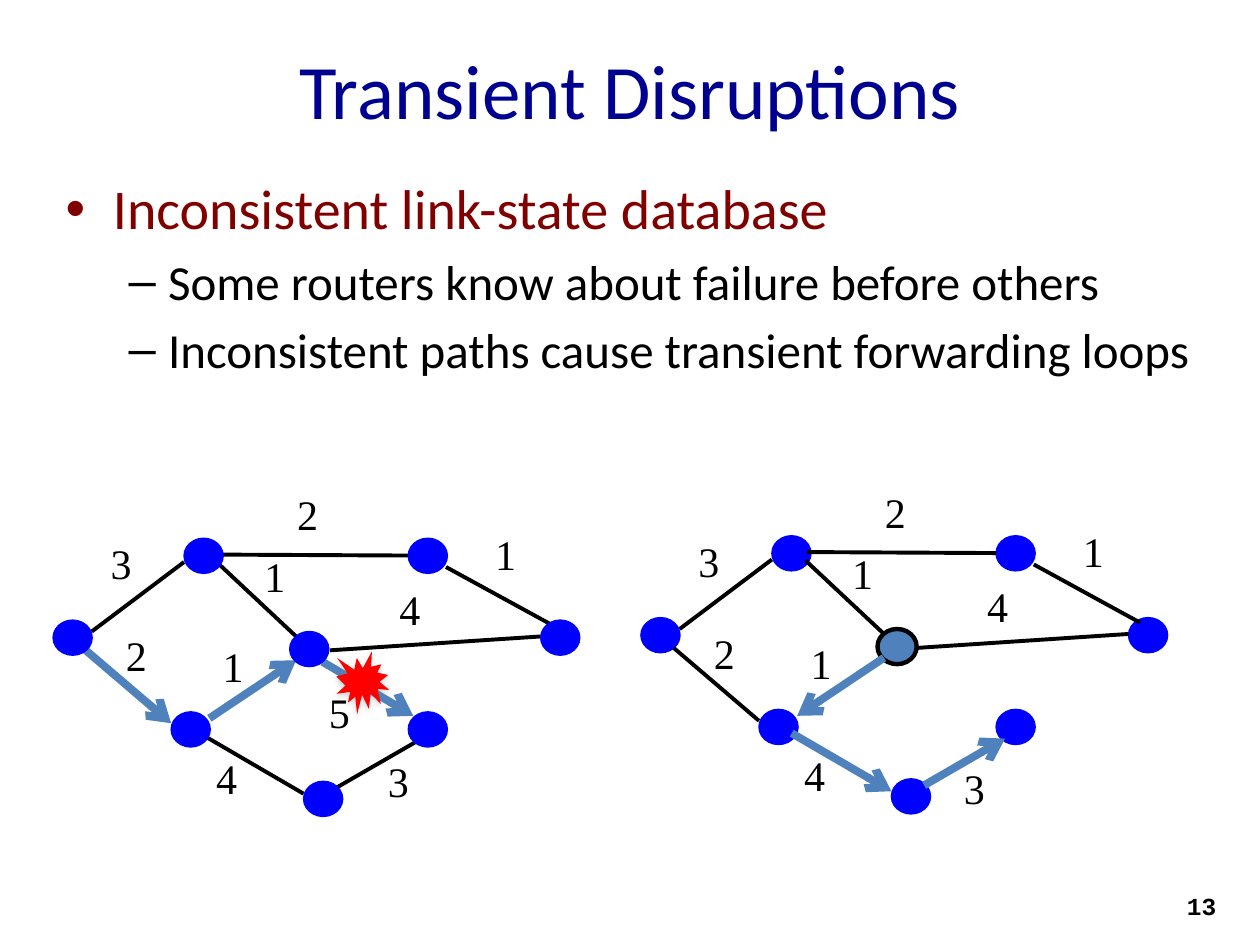
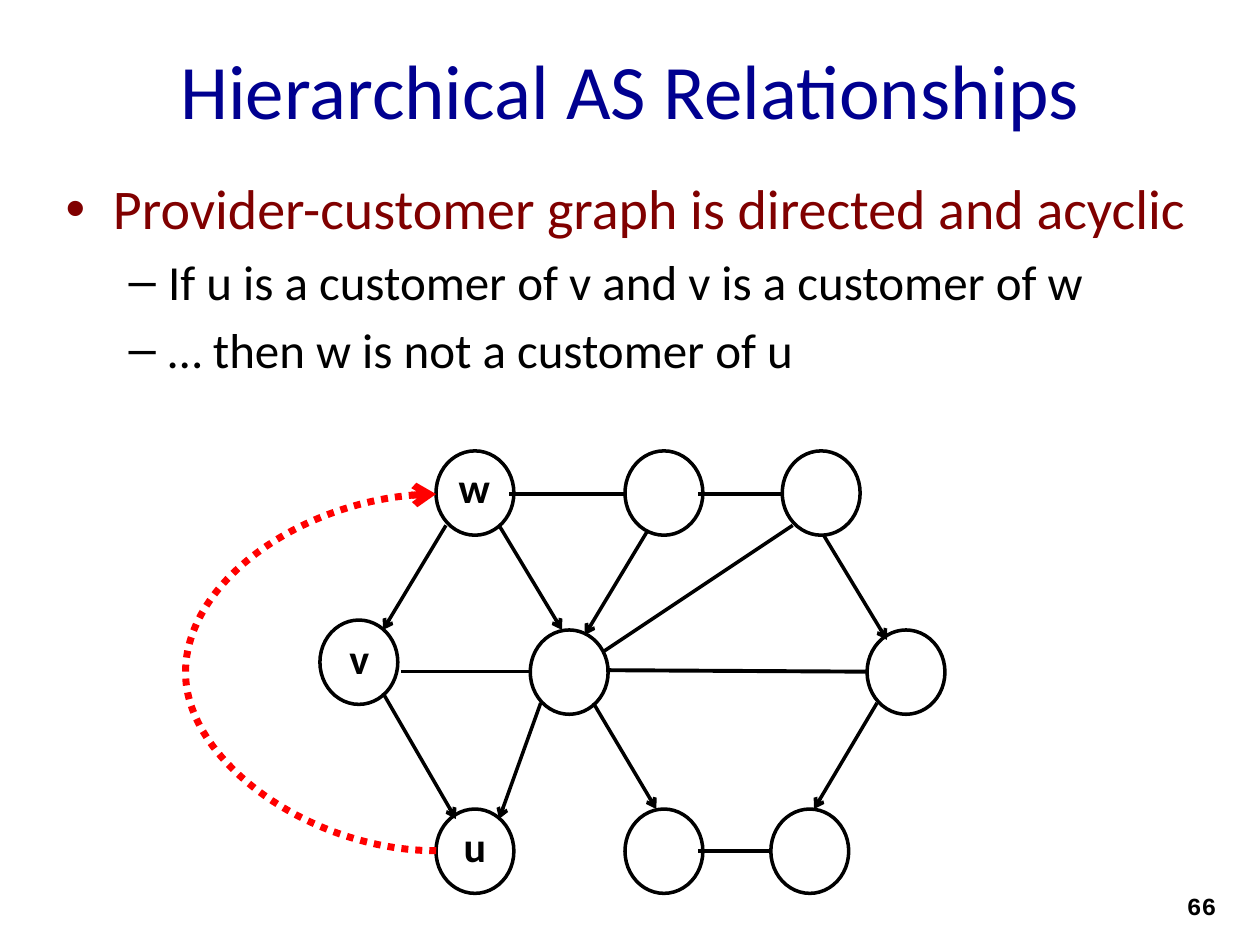
from dataclasses import dataclass

from pptx import Presentation
from pptx.dml.color import RGBColor as RGB
from pptx.enum.dml import MSO_LINE
from pptx.enum.shapes import MSO_CONNECTOR as LINK, MSO_SHAPE as SHAPE
from pptx.enum.text import MSO_ANCHOR, MSO_AUTO_SIZE as FIT, PP_ALIGN as ALIGN
from pptx.oxml import parse_xml
from pptx.oxml.ns import nsdecls, qn
from pptx.oxml.xmlchemy import OxmlElement
from pptx.util import Cm, Emu, Pt


@dataclass(frozen=True)
class Theme:
    """Colours, fonts and type sizes of the deck."""

    navy: str = "000090"
    maroon: str = "800000"
    black: str = "000000"
    router: str = "0000FF"
    route: str = "4F81BD"
    red: str = "FF0000"
    sans: str = "Calibri"
    serif: str = "Times New Roman"
    mono: str = "Courier New"
    title: int = 44
    lead: int = 32
    detail: int = 28
    label: int = 24
    page: int = 14


T = Theme()

ROUTERS = {
    "a": (1.07, 12.5), "b": (3.71, 10.85), "c": (8.23, 10.85), "d": (10.9, 12.5),
    "e": (5.84, 12.73), "f": (3.45, 14.35), "g": (8.23, 14.35), "h": (6.12, 15.75),
}
LINKS = {
    "ab": (1.85, 12.73, 3.71, 11.33),
    "af": (1.73, 13.11, 3.45, 14.58),
    "be": (4.39, 11.35, 5.97, 12.83),
    "fh": (4.11, 14.83, 6.12, 16),
    "fe": (4.22, 14.48, 5.97, 13.31),
    "eg": (6.5, 13.34, 8.33, 14.43),
    "hg": (6.78, 15.88, 8.41, 14.94),
    "ed": (6.65, 13.11, 10.9, 12.83),
    "bc": (4.42, 11.18, 8.23, 11.2),
    "cd": (8.99, 11.43, 11.13, 12.6),
}
COSTS = {
    "ab": ("3", 1.98, 10.72), "bc": ("2", 5.74, 9.73), "af": ("2", 2.29, 12.57),
    "be": ("1", 5.08, 10.97), "fe": ("1", 4.24, 12.78), "ed": ("4", 7.8, 11.63),
    "cd": ("1", 9.73, 10.52), "fh": ("4", 4.11, 15.04), "eg": ("5", 6.38, 13.72),
    "hg": ("3", 7.57, 15.11),
}

TOP, BOTTOM = 9.09, 16.31
AS_NODES = {
    "w": (8.79, TOP), "top mid": (12.6, TOP), "top right": (15.77, TOP),
    "v": (6.45, 12.5), "centre": (10.69, 12.7), "right": (17.48, 12.7),
    "u": (8.79, BOTTOM), "low mid": (12.6, BOTTOM), "low right": (15.54, BOTTOM),
}
AS_NAMES = {"u": (9.09, 16.41, 0.97), "v": (6.76, 12.62, 0.97), "w": (8.99, 9.17, 1.14)}
PEERS = [
    (12.22, 13.51, 17.48, 13.54, 2.25),
    (10.69, 13.54, 8.08, 13.54, 2),
    (14.07, 17.15, 15.54, 17.15, 2.25),
    (12.6, 9.96, 10.26, 9.96, 2),
    (15.77, 9.96, 14.07, 9.96, 2),
    (15.98, 10.59, 12.17, 13.13, 2),
]
PROVIDER_TO_CUSTOMER = [
    (10.06, 10.59, 11.33, 12.7),
    (16.61, 10.8, 17.88, 12.9),
    (13.06, 10.69, 11.79, 12.8),
    (10.9, 14.17, 10.06, 16.51),
    (11.96, 14.17, 13.23, 16.31),
    (17.68, 14.17, 16.41, 16.31),
    (7.72, 13.97, 9.19, 16.51),
    (8.99, 10.59, 7.72, 12.7),
]


def place(s, left, top, width, height):
    """Move and size a shape, in centimetres."""
    s.left, s.top, s.width, s.height = map(Cm, (left, top, width, height))


def style(p, size, color, font, bold=False):
    """Format every run of a paragraph."""
    for r in p.runs:
        r.font.size, r.font.name, r.font.bold = Pt(size), font, bold
        r.font.color.rgb = RGB.from_string(color)


def add_text(slide, text, box, size, font, bold=False, align=ALIGN.LEFT, wrap=False):
    """Add a one-line text box."""
    s = slide.shapes.add_textbox(*map(Cm, box))
    tf = s.text_frame
    tf.text = text
    tf.word_wrap = wrap
    tf.auto_size = FIT.NONE if wrap else FIT.SHAPE_TO_FIT_TEXT
    tf.paragraphs[0].alignment = align
    style(tf.paragraphs[0], size, T.black, font, bold)


def add_node(slide, box, fill=None, line=T.black, width=2, kind=SHAPE.OVAL):
    """Add a preset shape, unfilled or unlined where no colour is given."""
    s = slide.shapes.add_shape(kind, *map(Cm, box))
    s.shadow.inherit = False
    if fill:
        s.fill.solid()
        s.fill.fore_color.rgb = RGB.from_string(fill)
    else:
        s.fill.background()
    if line:
        s.line.color.rgb = RGB.from_string(line)
        s.line.width = Pt(width)
    else:
        s.line.fill.background()
    return s


def add_line(slide, ends, color=T.black, width=2, arrow=False, dash=None, kind=LINK.STRAIGHT):
    """Add a connector, with an open arrowhead at its end if wanted."""
    s = slide.shapes.add_connector(kind, *map(Cm, ends))
    s.line.color.rgb = RGB.from_string(color)
    s.line.width = Pt(width)
    if dash:
        s.line.dash_style = dash
    if arrow:
        tail = OxmlElement("a:tailEnd")
        tail.set("type", "arrow")
        s._element.spPr.find(qn("a:ln")).append(tail)
    s._element.spPr.append(OxmlElement("a:effectLst"))
    return s


def add_slide(prs, title, bullets, page):
    """Add a slide with title, a lead bullet with details, and page number."""
    slide = prs.slides.add_slide(prs.slide_layouts[1])
    head, body = slide.placeholders[0], slide.placeholders[1]
    place(head, 1.27, 0.2, 22.86, 3.18)
    head.text_frame.text = title
    head.text_frame.vertical_anchor = MSO_ANCHOR.MIDDLE
    style(head.text_frame.paragraphs[0], T.title, T.navy, T.sans)
    place(body, 1.07, 3.38, 23.7, 13.64)
    tf = body.text_frame
    tf.text = "\n".join(bullets)
    lead, *details = tf.paragraphs
    lead.space_before = Pt(0)
    style(lead, T.lead, T.maroon, T.sans)
    for p in details:
        p.level = 1
        style(p, T.detail, T.black, T.sans)
    add_text(slide, page, (18.85, 17.83, 5.92, 1.02), T.page, T.mono, True, ALIGN.RIGHT, True)
    return slide


def add_routers(slide, dx, dy, detecting=None):
    """Draw the routers, marking the one that detects the failure."""
    for name, (x, y) in ROUTERS.items():
        box = (x + dx, y + dy, 0.79, 0.71)
        if name == detecting:
            add_node(slide, box, T.route, T.black, 2.5)
        else:
            add_node(slide, box, T.router, T.router, 0.75)


def add_links(slide, links, costs, route, dx=0, dy=0):
    """Draw links with their costs; those on the route are blue arrows."""
    for name, (x1, y1, x2, y2) in links.items():
        ends = (x1 + dx, y1 + dy, x2 + dx, y2 + dy)
        if name in route:
            add_line(slide, ends, T.route, 4.5, arrow=True)
        else:
            add_line(slide, ends, width=2.25)
    for name in links:
        cost, x, y = costs[name]
        add_text(slide, cost, (x + dx, y + dy, 0.94, 1.27), T.label, T.serif)


def add_failure(slide):
    """Mark the broken link with a red burst and a soft shadow."""
    s = add_node(slide, (6.78, 13.13, 1.07, 1.27), T.red, None, kind=SHAPE.EXPLOSION1)
    effects = s._element.spPr.find(qn("a:effectLst"))
    effects.append(parse_xml(
        f'<a:outerShdw {nsdecls("a")} blurRad="{Pt(3.1)}" dist="{Pt(1.8)}" dir="5400000">'
        '<a:srgbClr val="808080"><a:alpha val="35000"/></a:srgbClr></a:outerShdw>'))


def add_forbidden_arc(slide, u, w):
    """Draw the dotted curve that bulges left from u up to w."""
    s = add_line(slide, (8.79, 9.96, 8.79, 17.15), T.red, 4, True,
                 MSO_LINE.ROUND_DOT, LINK.CURVE)
    s.begin_connect(u, 2)
    s.end_connect(w, 2)
    xfrm = s._element.spPr.find(qn("a:xfrm"))
    xfrm.attrib.clear()
    xfrm.set("rot", "10800000")
    place(s, 8.79, 9.96, 0, 7.19)
    s.width = Emu(1588)
    bulge = OxmlElement("a:gd")
    bulge.set("name", "adj1")
    bulge.set("fmla", "val 126360200")
    s._element.spPr.find(qn("a:prstGeom")).get_or_add_avLst().append(bulge)


def build_disruptions(prs):
    """Build the slide with the two views of the router network."""
    slide = add_slide(prs, "Transient Disruptions", [
        "Inconsistent link-state database",
        "Some routers know about failure before others",
        "Inconsistent paths cause transient forwarding loops"], "13")
    dx, dy = 11.85, -0.05
    x1, y1, x2, y2 = LINKS["fe"]
    updated = {n: ends for n, ends in LINKS.items() if n != "eg"}
    updated["fe"] = (x2, y2, x1, y1)
    add_routers(slide, dx, dy, detecting="e")
    add_links(slide, updated, COSTS | {"hg": ("3", 7.33, 15.29)}, ("fe", "fh", "hg"), dx, dy)
    add_links(slide, LINKS, COSTS, ("af", "fe", "eg"))
    add_routers(slide, 0, 0)
    add_failure(slide)


def build_hierarchy(prs):
    """Build the slide with the provider-customer graph."""
    slide = add_slide(prs, "Hierarchical AS Relationships", [
        "Provider-customer graph is directed and acyclic",
        "If u is a customer of v and v is a customer of w",
        "… then w is not a customer of u"], "66")
    nodes = {n: add_node(slide, (x, y, 1.57, 1.7)) for n, (x, y) in AS_NODES.items()}
    for *ends, width in PEERS:
        add_line(slide, ends, width=width)
    for ends in PROVIDER_TO_CUSTOMER:
        add_line(slide, ends, arrow=True)
    for name, (x, y, width) in AS_NAMES.items():
        add_text(slide, name, (x, y, width, 1.3), T.label, T.sans, True, ALIGN.CENTER)
    add_forbidden_arc(slide, nodes["u"], nodes["w"])


def main():
    """Build and save the deck."""
    prs = Presentation()
    prs.slide_width, prs.slide_height = Cm(25.4), Cm(19.05)
    build_disruptions(prs)
    build_hierarchy(prs)
    prs.save("out.pptx")


if __name__ == "__main__":
    main()
